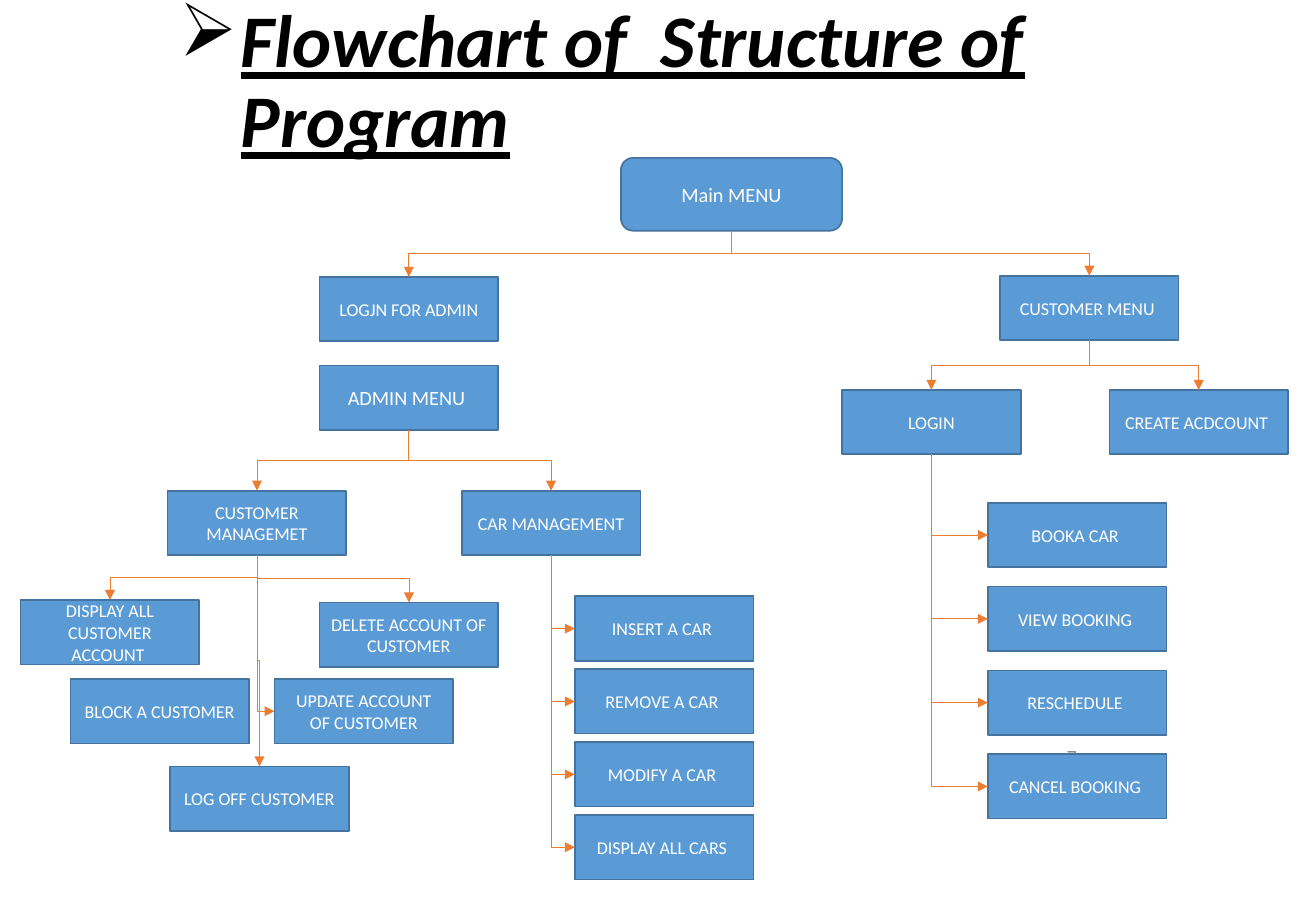
from lxml.etree import SubElement
from pptx import Presentation
from pptx.dml.color import RGBColor
from pptx.enum.shapes import MSO_CONNECTOR, MSO_SHAPE
from pptx.enum.text import MSO_ANCHOR, PP_ALIGN
from pptx.oxml.ns import qn
from pptx.util import Inches, Pt

BLACK = RGBColor(0x00, 0x00, 0x00)
WHITE = RGBColor(0xFF, 0xFF, 0xFF)
GRAY = RGBColor(0x8C, 0x8C, 0x8C)
BLUE = RGBColor(0x5B, 0x9B, 0xD5)
NAVY = RGBColor(0x43, 0x73, 0x9E)
ORANGE = RGBColor(0xED, 0x7D, 0x31)
WIDE, HIGH = 1.47, 0.53

deck = Presentation()
deck.slide_width, deck.slide_height = Inches(10.83), Inches(7.5)
slide = deck.slides.add_slide(deck.slide_layouts[5])
shapes = slide.shapes


def write(frame, text, size=10.7, color=WHITE, align=PP_ALIGN.CENTER, strong=False):
    """Fill a text frame; strong means bold, italic and underlined."""
    frame.word_wrap = True
    frame.vertical_anchor = MSO_ANCHOR.MIDDLE
    para = frame.paragraphs[0]
    para.alignment = align
    run = para.add_run()
    run.text = text
    font = run.font
    font.name, font.size, font.color.rgb = "Calibri", Pt(size), color
    font.bold = font.italic = font.underline = strong
    return para


def link(start, end, side):
    """Draw an arrow down from start, to the left side or the top of end."""
    x1, y1 = start[0] + start[2] / 2, start[1] + start[3]
    x2, y2 = end[0] + end[2] / 2, end[1]
    if side:
        x2, y2 = end[0], end[1] + end[3] / 2
    # The elbow is laid out sideways around its centre, then turned to run downwards.
    mid_x, mid_y = (x1 + x2) / 2, (y1 + y2) / 2
    long, short = (y2 - y1) / 2, abs(x2 - x1) / 2
    right = x2 > x1
    if right:
        long = -long
    line = shapes.add_connector(
        MSO_CONNECTOR.ELBOW,
        Inches(mid_x - long), Inches(mid_y - short),
        Inches(mid_x + long), Inches(mid_y + short))
    line.line.color.rgb = ORANGE
    line.line.width = Pt(0.5)
    props = line._element.spPr
    props.find(qn("a:xfrm")).set("rot", str((270 if right else 90) * 60000))
    if side:
        props.find(qn("a:prstGeom")).set("prst", "bentConnector2")
    SubElement(props.find(qn("a:ln")), qn("a:tailEnd"), type="triangle")
    SubElement(props, qn("a:effectLst"))


title = shapes.title
title.left, title.top = Inches(1.38), Inches(0.25)
title.width, title.height = Inches(9.16), Inches(0.88)
para = write(title.text_frame, "Flowchart of  Structure of Program", size=44,
             color=BLACK, align=PP_ALIGN.LEFT, strong=True)
para.line_spacing = 0.9
props = para._p.get_or_add_pPr()
props.set("marL", str(Inches(0.5)))
props.set("indent", str(Inches(-0.5)))
SubElement(props, qn("a:buChar"), char="➢")

number = shapes.add_textbox(Inches(6.93), Inches(6.07), Inches(2.03), Inches(0.31))
write(number.text_frame, "7", size=12, color=GRAY, align=PP_ALIGN.RIGHT)

boxes = {
    "main": ("Main MENU", 5.11, 1.3),
    "admin login": ("LOGJN FOR ADMIN", 2.63, 2.28),
    "admin": ("ADMIN MENU ", 2.63, 3.01),
    "client": ("CUSTOMER MENU ", 8.23, 2.27),
    "login": ("LOGIN", 6.93, 3.21),
    "create": ("CREATE ACDCOUNT ", 9.13, 3.21),
    "people": ("CUSTOMER MANAGEMET", 1.38, 4.04),
    "cars": ("CAR MANAGEMENT", 3.8, 4.04),
    "display": ("DISPLAY ALL CUSTOMER ACCOUNT ", 0.17, 4.94),
    "delete": ("DELETE ACCOUNT OF CUSTOMER", 2.63, 4.96),
    "block": ("BLOCK A CUSTOMER", 0.58, 5.59),
    "update": ("UPDATE ACCOUNT OF CUSTOMER", 2.26, 5.59),
    "log off": ("LOG OFF CUSTOMER", 1.4, 6.31),
}
tasks = ["INSERT A CAR ", "REMOVE A CAR ", "MODIFY A CAR ", "DISPLAY ALL CARS "]
trips = ["BOOKA CAR ", "VIEW BOOKING ", "RESCHEDULE ", "CANCEL BOOKING "]
for names, left, top, step in ((tasks, 4.73, 4.91, 0.6), (trips, 8.13, 4.14, 0.69)):
    for row, name in enumerate(names):
        boxes[name] = (name, left, top + row * step)

places = {}
for key, (text, left, top) in boxes.items():
    root = key == "main"
    wide, high = (1.82, 0.6) if root else (WIDE, HIGH)
    kind = MSO_SHAPE.FLOWCHART_ALTERNATE_PROCESS if root else MSO_SHAPE.FLOWCHART_PROCESS
    places[key] = (left, top, wide, high)
    box = shapes.add_shape(kind, Inches(left), Inches(top), Inches(wide), Inches(high))
    box.shadow.inherit = False
    box.fill.solid()
    box.fill.fore_color.rgb = BLUE
    box.line.color.rgb = NAVY
    box.line.width = Pt(1)
    frame = box.text_frame
    frame.margin_left = frame.margin_right = Inches(0.08)
    frame.margin_top = frame.margin_bottom = Inches(0.04)
    write(frame, text, size=12 if key in ("main", "admin") else 10.7)

forks = {
    "main": ["admin login", "client"],
    "admin": ["people", "cars"],
    "client": ["login", "create"],
    "people": ["display", "delete", "log off"],
}
sides = {"people": ["update"], "cars": tasks, "login": trips}
for tree, side in ((forks, False), (sides, True)):
    for start, ends in tree.items():
        for end in ends:
            link(places[start], places[end], side)

deck.save("out.pptx")
